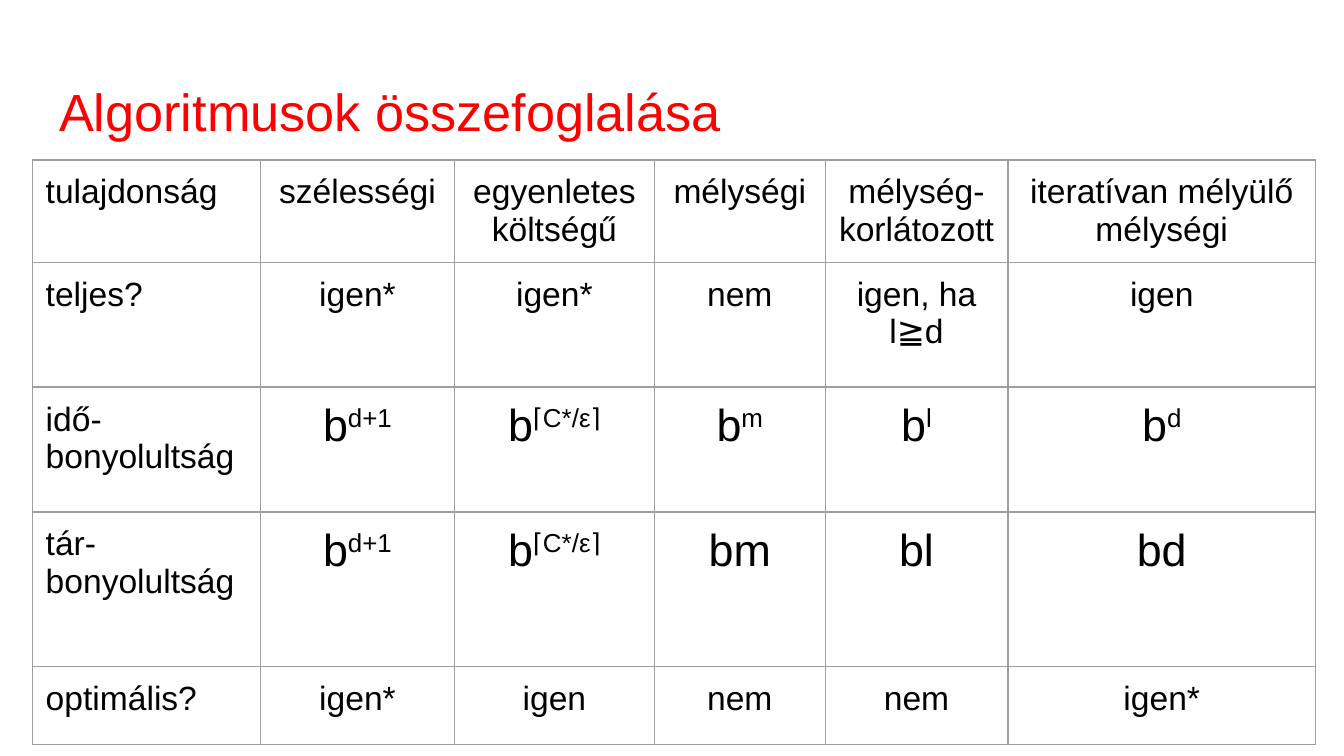
"""Build a slide with a table that compares search algorithms."""
import pptx
import pptx.dml.color
import pptx.enum.text
import pptx.oxml
import pptx.oxml.ns
import pptx.util
from pptx.util import Inches

RED = pptx.dml.color.RGBColor(0xFF, 0x00, 0x00)
BLACK = pptx.dml.color.RGBColor(0x00, 0x00, 0x00)
WHITE = pptx.dml.color.RGBColor(0xFF, 0xFF, 0xFF)
GREY = pptx.dml.color.RGBColor(0x9E, 0x9E, 0x9E)

COLUMN_WIDTHS = [1.7, 1.44, 1.49, 1.27, 1.36, 2.29]
ROW_HEIGHTS = [0.76, 0.93, 0.93, 1.15, 0.58]
PROPERTIES = [
    ["tulajdonság", "szélességi", "egyenletes költségű", "mélységi",
     "mélység-\nkorlátozott", "iteratívan mélyülő mélységi"],
    ["teljes?", "igen*", "igen*", "nem", "igen, ha l≧d", "igen"],
    ["idő- bonyolultság", "b^d+1", "b^⌈C*/ε⌉", "b^m", "b^l", "b^d"],
    ["tár- bonyolultság", "b^d+1", "b^⌈C*/ε⌉", "bm", "bl", "bd"],
    ["optimális?", "igen*", "igen", "nem", "nem", "igen*"],
]
COMPLEXITY_ROWS = (2, 3)


def style_font(font, size, color):
    font.name = "Arial"
    font.size = pptx.util.Pt(size)
    font.bold = False
    font.color.rgb = color


def add_borders(cell):
    properties = cell._tc.get_or_add_tcPr()
    for position, side in enumerate(("lnL", "lnR", "lnT", "lnB")):
        border = pptx.oxml.parse_xml(
            f'<a:{side} {pptx.oxml.ns.nsdecls("a")} w="{pptx.util.Pt(0.75)}">'
            f'<a:solidFill><a:srgbClr val="{GREY}"/></a:solidFill></a:{side}>')
        properties.insert(position, border)


presentation = pptx.Presentation()
presentation.slide_width = Inches(10)
presentation.slide_height = Inches(10 * 9 / 16)
slide = presentation.slides.add_slide(presentation.slide_layouts[5])

title = slide.shapes.title
title.left, title.top = Inches(0.34), Inches(0.49)
title.width, title.height = Inches(9.32), Inches(0.63)
title.text = "Algoritmusok összefoglalása"
title_frame = title.text_frame
title_frame.auto_size = pptx.enum.text.MSO_AUTO_SIZE.NONE
title_frame.vertical_anchor = pptx.enum.text.MSO_ANCHOR.TOP
title_frame.margin_left = title_frame.margin_right = Inches(0.1)
title_frame.margin_top = title_frame.margin_bottom = Inches(0.1)
title_frame.paragraphs[0].alignment = pptx.enum.text.PP_ALIGN.LEFT
style_font(title_frame.paragraphs[0].font, 28, RED)

comparison = slide.shapes.add_table(
    len(ROW_HEIGHTS), len(COLUMN_WIDTHS), Inches(0.24), Inches(1.19),
    Inches(sum(COLUMN_WIDTHS)), Inches(sum(ROW_HEIGHTS))).table
comparison.first_row = False
comparison.horz_banding = False
for column, width in zip(comparison.columns, COLUMN_WIDTHS):
    column.width = Inches(width)
for row, height in zip(comparison.rows, ROW_HEIGHTS):
    row.height = Inches(height)

for row_index, values in enumerate(PROPERTIES):
    for column_index, value in enumerate(values):
        cell = comparison.cell(row_index, column_index)
        cell.margin_left = cell.margin_right = Inches(0.1)
        cell.margin_top = cell.margin_bottom = Inches(0.1)
        cell.fill.solid()
        cell.fill.fore_color.rgb = WHITE
        add_borders(cell)
        base, _, exponent = value.partition("^")
        cell.text = base
        if exponent:
            superscript = cell.text_frame.paragraphs[0].add_run()
            superscript.text = exponent
            superscript.font._element.set("baseline", "30000")
        is_formula = row_index in COMPLEXITY_ROWS and column_index > 0
        for paragraph in cell.text_frame.paragraphs:
            style_font(paragraph.font, 24 if is_formula else 18, BLACK)
            if column_index > 0:
                paragraph.alignment = pptx.enum.text.PP_ALIGN.CENTER

presentation.save("out.pptx")
